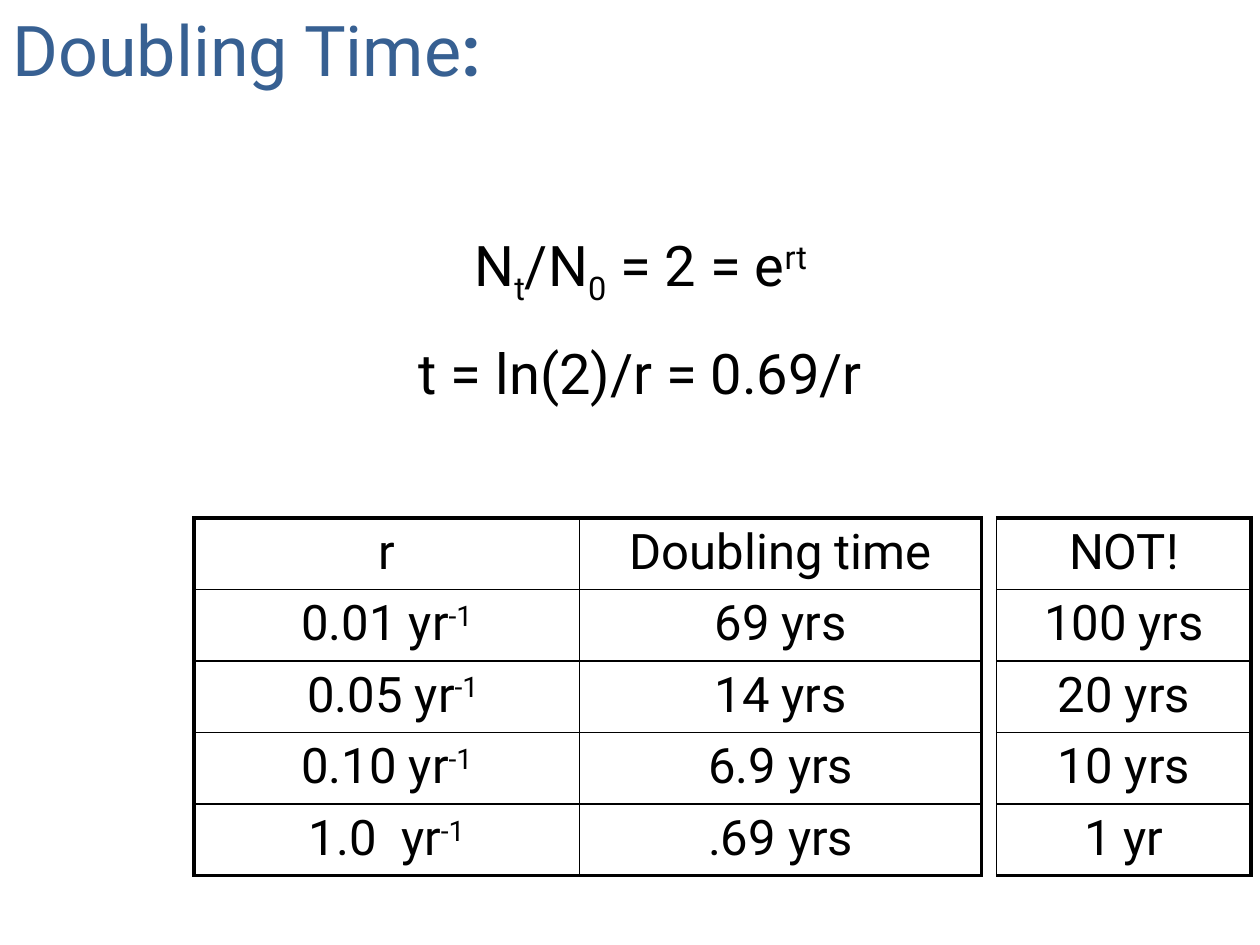
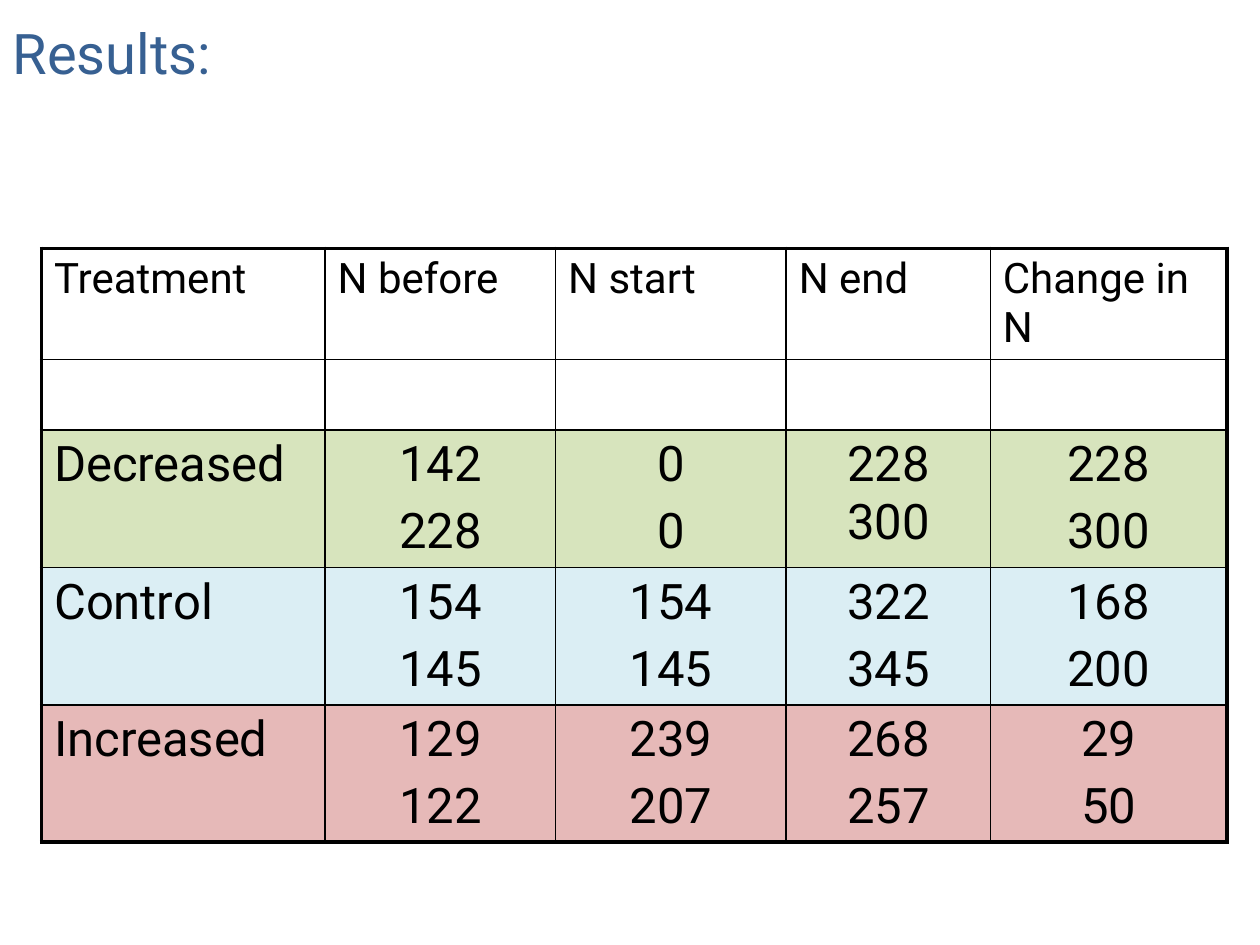
from lxml.etree import SubElement
from pptx import Presentation
from pptx.dml.color import RGBColor
from pptx.enum.text import MSO_ANCHOR, MSO_AUTO_SIZE, PP_ALIGN
from pptx.oxml.ns import qn
from pptx.util import Inches, Pt

FONT = "Roboto"
BLACK = RGBColor(0x00, 0x00, 0x00)
WHITE = RGBColor(0xFF, 0xFF, 0xFF)
BLUE = RGBColor(0x37, 0x60, 0x92)
GREEN = RGBColor(0xD7, 0xE4, 0xBD)
AQUA = RGBColor(0xDB, 0xEE, 0xF4)
PINK = RGBColor(0xE6, 0xB9, 0xB8)
THIN, THICK = 1, 2.25
SHIFTS = {"_": "-25000", "^": "30000"}


def write(frame, text, size=28, color=BLACK, align=PP_ALIGN.LEFT, gap=0):
    """Split text at | into runs: _ lowers a run, ^ raises it, * makes it bold."""
    for i, line in enumerate(text.split("\n")):
        para = frame.add_paragraph() if i else frame.paragraphs[0]
        para.alignment = align
        para.space_before = Pt(gap if i else 0)
        for j, part in enumerate(line.split("\v")):
            if j:
                para.add_line_break()
            for piece in part.split("|"):
                mark = piece[:1] if piece[:1] in ("_", "^", "*") else ""
                run = para.add_run()
                run.text = piece[len(mark):]
                font = run.font
                font.name, font.size, font.bold = FONT, Pt(size), mark == "*"
                font.color.rgb = color
                if mark in SHIFTS:
                    font._element.set("baseline", SHIFTS[mark])


def add_page(deck, title, box, size, wrap=True):
    page = deck.slides.add_slide(deck.slide_layouts[5])
    head = page.shapes.title
    head.left, head.top, head.width, head.height = map(Inches, box)
    frame = head.text_frame
    frame.word_wrap = wrap
    frame.auto_size = MSO_AUTO_SIZE.NONE
    frame.vertical_anchor = MSO_ANCHOR.TOP
    write(frame, title, size=size, color=BLUE)
    return page


def edge(cell, **widths):
    """Draw the cell's borders; call before its fill is set."""
    props = cell._tc.get_or_add_tcPr()
    for side in "LRTB":
        line = SubElement(props, qn(f"a:ln{side}"), w=str(Pt(widths[side])))
        fill = SubElement(line, qn("a:solidFill"))
        SubElement(fill, qn("a:srgbClr"), val=str(BLACK))


def add_grid(page, left, top, cols, heights, rows, style, first=THICK):
    """Add a table; style gives the text format and fill for a row and column."""
    shape = page.shapes.add_table(len(rows), len(cols), Inches(left), Inches(top),
                                  Inches(sum(cols)), Inches(sum(heights)))
    table = shape.table
    table.first_row = table.horz_banding = False
    for col, width in zip(table.columns, cols):
        col.width = Inches(width)
    for row, height in zip(table.rows, heights):
        row.height = Inches(height)
    for r, row in enumerate(rows):
        for c, text in enumerate(row):
            cell = table.cell(r, c)
            edge(cell,
                 L=THIN if c else first,
                 R=THICK if c == len(cols) - 1 else THIN,
                 T=THIN if r else THICK,
                 B=THICK if r == len(rows) - 1 else THIN)
            form, fill = style(r, c)
            cell.fill.solid()
            cell.fill.fore_color.rgb = fill
            if text:
                write(cell.text_frame, text, **form)


def rate_style(row, col):
    return {"align": PP_ALIGN.CENTER}, WHITE


def count_style(row, col):
    fill = (WHITE, WHITE, GREEN, AQUA, PINK)[row]
    align = PP_ALIGN.CENTER if row and col else PP_ALIGN.LEFT
    return {"size": 28 if row else 24, "align": align, "gap": 5.6}, fill


def add_maths(page, left, top, width, height):
    box = page.shapes.add_textbox(*map(Inches, (left, top, width, height)))
    box.text_frame.word_wrap = True
    write(box.text_frame, "N|_t|/N|_0| = 2 = e|^rt\nt = ln(2)/r = 0.69/r",
          size=32, align=PP_ALIGN.CENTER, gap=18)


def add_doubling(deck):
    page = add_page(deck, "Doubling Time|*:", (0, 0, 4.17, 0.77), 40, wrap=False)
    add_maths(page, 2, 1.78, 6.17, 1.43)
    top, heights = 4.11, [0.56, 0.56, 0.56, 0.57, 0.56]
    times = [
        ("r", "Doubling time"),
        ("0.01 yr|^-1", "69 yrs"),
        (" 0.05 yr|^-1", "14 yrs"),
        ("0.10 yr|^-1", "6.9 yrs"),
        ("1.0  yr|^-1", ".69 yrs"),
    ]
    wrong = [("NOT!",), ("100 yrs",), ("20 yrs",), ("10 yrs",), ("1 yr",)]
    add_grid(page, 1.54, top, [3.06, 3.19], heights, times, rate_style)
    add_grid(page, 7.91, top, [2.02], heights, wrong, rate_style, first=THIN)


def add_results(deck):
    page = add_page(deck, "Results:", (0, 0.1, 2.53, 0.63), 32)
    counts = [
        ("Treatment", "N before", "N start", "N end", "Change in N"),
        ("",) * 5,
        ("Decreased", "142\n228", "0\n0", "228\v300", "228\n300"),
        ("Control", "154\n145", "154\n145", "322\n345", "168\n200"),
        ("Increased", "129\n122", "239\n207", "268\n257", "29\n50"),
    ]
    add_grid(page, 0.33, 1.97, [2.25, 1.83, 1.83, 1.62, 1.88],
             [0.88, 0.56] + [1.09] * 3, counts, count_style)


def main():
    deck = Presentation()
    deck.slide_width, deck.slide_height = Inches(10), Inches(7.5)
    add_doubling(deck)
    add_results(deck)
    deck.save("out.pptx")


if __name__ == "__main__":
    main()
